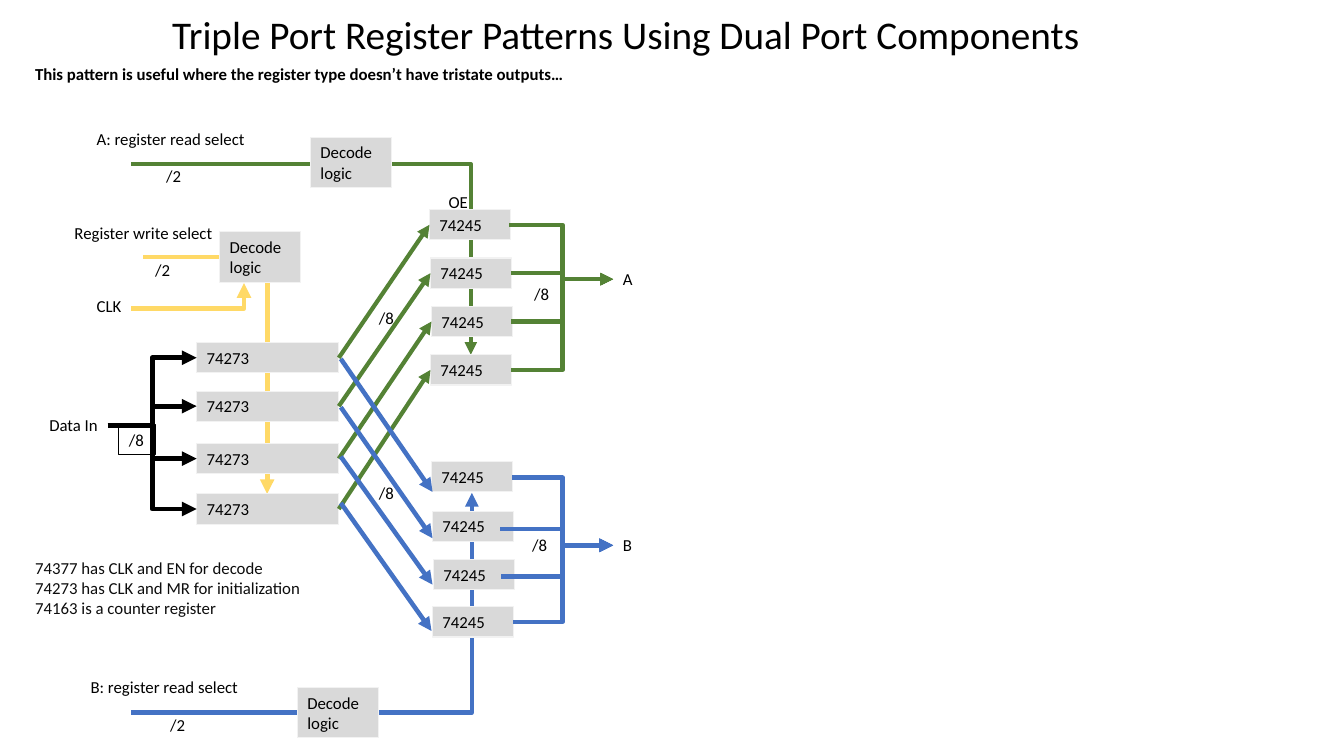
from lxml import etree
from pptx import Presentation
from pptx.dml.color import RGBColor
from pptx.enum import shapes, text
from pptx.oxml import ns
from pptx.util import Inches, Pt

BLACK = RGBColor(0x00, 0x00, 0x00)
NOTE = RGBColor(0x0D, 0x0D, 0x0D)
GREY = RGBColor(0xD9, 0xD9, 0xD9)
PALE = RGBColor(0xF2, 0xF2, 0xF2)
GREEN = RGBColor(0x54, 0x82, 0x35)
BLUE = RGBColor(0x44, 0x72, 0xC4)
YELLOW = RGBColor(0xFF, 0xD9, 0x66)
LINE_WIDTHS = {GREEN: 3, BLUE: 3.25, YELLOW: 3.5, BLACK: 3.5}

CHIP_HEIGHT = 0.3
REGISTER_LEFT, REGISTER_WIDTH = 1.95, 1.41
REGISTER_TOPS = [3.4, 3.88, 4.4, 4.9]
BUFFER_WIDTH = 0.8
A_BUFFERS = [(4.26, 2.08), (4.27, 2.56), (4.28, 3.04), (4.27, 3.52)]
B_BUFFERS = [(4.28, 4.58), (4.29, 5.07), (4.3, 5.55), (4.29, 6.02)]
B_FAN = [(3.56, 4.29, 4.88), (4.04, 4.29, 5.34), (4.53, 4.29, 5.8), (4.99, 4.28, 6.26)]
A_OUTPUTS = [(5.05, 2.23), (5.07, 2.71), (5.07, 3.19), (5.07, 3.67)]
B_OUTPUTS = [(5.08, 4.74), (4.96, 5.25), (4.97, 5.72), (5.09, 6.17)]
DATA_IN, DATA_BUS_X = (1.07, 4.22), 1.51
OUTPUT_BUS_X, OUTPUT_X, A_OUTPUT_Y, B_OUTPUT_Y = 5.58, 6.08, 2.77, 5.41

DECODERS = [(3.08, 1.36), (2.95, 6.82), (2.18, 2.3)]
LABELS = [
    ("A", 6.08, 2.62, 0.36),
    ("B", 6.08, 5.26, 0.36),
    ("Data In", 0.39, 4.07, 0.68),
    ("A: register read select", 0.86, 1.23, 1.98),
    ("B: register read select", 0.8, 6.66, 1.93),
    ("Register write select", 0.64, 2.16, 1.65),
    ("CLK", 0.86, 2.88, 1.19),
    ("OE", 4.35, 1.85, 0.49),
    ("/8", 3.66, 3, 0.36),
    ("/8", 3.66, 4.74, 0.36),
    ("/8", 5.2, 2.77, 0.36),
    ("/8", 5.18, 5.26, 0.38),
    ("/2", 1.55, 1.6, 0.36),
    ("/2", 1.44, 2.53, 0.36),
    ("/2", 1.59, 7.04, 0.36),
]
NOTES = [
    "74377 has CLK and EN for decode",
    "74273 has CLK and MR for initialization",
    "74163 is a counter register",
]


def write(shape, lines, size=12, color=BLACK, bold=False):
    """Fill a shape with left-aligned lines of text."""
    frame = shape.text_frame
    frame.word_wrap = True
    for index, line in enumerate(lines):
        para = frame.paragraphs[0] if index == 0 else frame.add_paragraph()
        para.alignment = text.PP_ALIGN.LEFT
        span = para.add_run()
        span.text = line
        span.font.name = "Calibri"
        span.font.size = Pt(size)
        span.font.bold = bold
        span.font.color.rgb = color


def add_label(page, lines, left, top, width, height=0.3, **style):
    """Add a text box."""
    box = page.shapes.add_textbox(Inches(left), Inches(top), Inches(width), Inches(height))
    write(box, lines, **style)


def add_block(page, caption, left, top, width, height=CHIP_HEIGHT, fill=GREY, line=PALE):
    """Add a captioned rectangle."""
    block = page.shapes.add_shape(
        shapes.MSO_SHAPE.RECTANGLE, Inches(left), Inches(top), Inches(width), Inches(height))
    block.shadow.inherit = False
    if fill is None:
        block.fill.background()
    else:
        block.fill.solid()
        block.fill.fore_color.rgb = fill
    block.line.color.rgb = line
    block.line.width = Pt(0.75)
    block.text_frame.vertical_anchor = text.MSO_ANCHOR.MIDDLE
    write(block, [caption])


def add_arrow(container, start, end, color, kind=shapes.MSO_CONNECTOR.STRAIGHT):
    """Add a connector with a triangular head at its end."""
    arrow = container.add_connector(kind, *(Inches(value) for value in (*start, *end)))
    arrow.line.color.rgb = color
    arrow.line.width = Pt(LINE_WIDTHS[color])
    etree.SubElement(arrow.line._get_or_add_ln(), ns.qn("a:tailEnd"), type="triangle")
    etree.SubElement(arrow._element.spPr, ns.qn("a:effectLst"))
    return arrow


def add_corner(page, start, end, color):
    """Add an arrow that runs across and then turns once."""
    arrow = add_arrow(page.shapes, start, end, color, shapes.MSO_CONNECTOR.ELBOW)
    arrow._element.spPr.find(ns.qn("a:prstGeom")).set("prst", "bentConnector2")


def add_bus_arrow(page, start, end, bus_x, color):
    """Add an arrow that runs across, along a vertical bus, and across."""
    arrow = add_arrow(page.shapes, start, end, color, shapes.MSO_CONNECTOR.ELBOW)
    geometry = arrow._element.spPr.find(ns.qn("a:prstGeom"))
    guides = geometry.find(ns.qn("a:avLst"))
    if guides is None:
        guides = etree.SubElement(geometry, ns.qn("a:avLst"))
    share = round((bus_x - start[0]) / (end[0] - start[0]) * 100000)
    etree.SubElement(guides, ns.qn("a:gd"), name="adj1", fmla=f"val {share}")


def add_fan(page, pairs, color):
    """Add a group of straight arrows."""
    fan = page.shapes.add_group_shape()
    for start, end in pairs:
        add_arrow(fan.shapes, start, end, color)


def main():
    """Build the register diagram."""
    deck = Presentation()
    deck.slide_width, deck.slide_height = Inches(13.33), Inches(7.5)
    page = deck.slides.add_slide(deck.slide_layouts[6])

    add_corner(page, (1.3, 7.07), (4.68, 4.89), BLUE)
    add_corner(page, (1.42, 2.55), (2.65, 4.9), YELLOW)
    add_corner(page, (1.3, 1.63), (4.67, 3.52), GREEN)
    for top in REGISTER_TOPS:
        add_block(page, "74273", REGISTER_LEFT, top, REGISTER_WIDTH)
    for left, top in A_BUFFERS + B_BUFFERS:
        add_block(page, "74245", left, top, BUFFER_WIDTH)
    for left, top in DECODERS:
        add_block(page, "Decode logic", left, top, 0.8, 0.5)
    add_corner(page, (1.3, 3.06), (2.42, 2.81), YELLOW)

    middle = CHIP_HEIGHT / 2
    for top in REGISTER_TOPS:
        add_bus_arrow(page, DATA_IN, (REGISTER_LEFT, top + middle), DATA_BUS_X, BLACK)
    for outputs, end_y, color in ((A_OUTPUTS, A_OUTPUT_Y, GREEN), (B_OUTPUTS, B_OUTPUT_Y, BLUE)):
        for start in outputs:
            add_bus_arrow(page, start, (OUTPUT_X, end_y), OUTPUT_BUS_X, color)
    register_right = REGISTER_LEFT + REGISTER_WIDTH
    add_fan(page, [((register_right, top + middle), (left, buffer_top + middle))
                   for top, (left, buffer_top) in zip(REGISTER_TOPS, A_BUFFERS)], GREEN)
    add_fan(page, [((3.38, start_y), (end_x, end_y)) for start_y, end_x, end_y in B_FAN], BLUE)

    add_block(page, "/8", 1.18, 4.21, 0.36, fill=None, line=BLACK)
    for caption, left, top, width in LABELS:
        add_label(page, [caption], left, top, width)
    add_label(page, ["This pattern is useful where the register type doesn’t have tristate outputs…"],
              0.25, 0.58, 5.54, bold=True)
    add_label(page, NOTES, 0.25, 5.48, 3.51, 0.71, color=NOTE)
    add_label(page, ["Triple Port Register Patterns Using Dual Port Components"],
              1.61, 0.05, 9.41, 0.57, size=28)
    deck.save("out.pptx")


if __name__ == "__main__":
    main()
